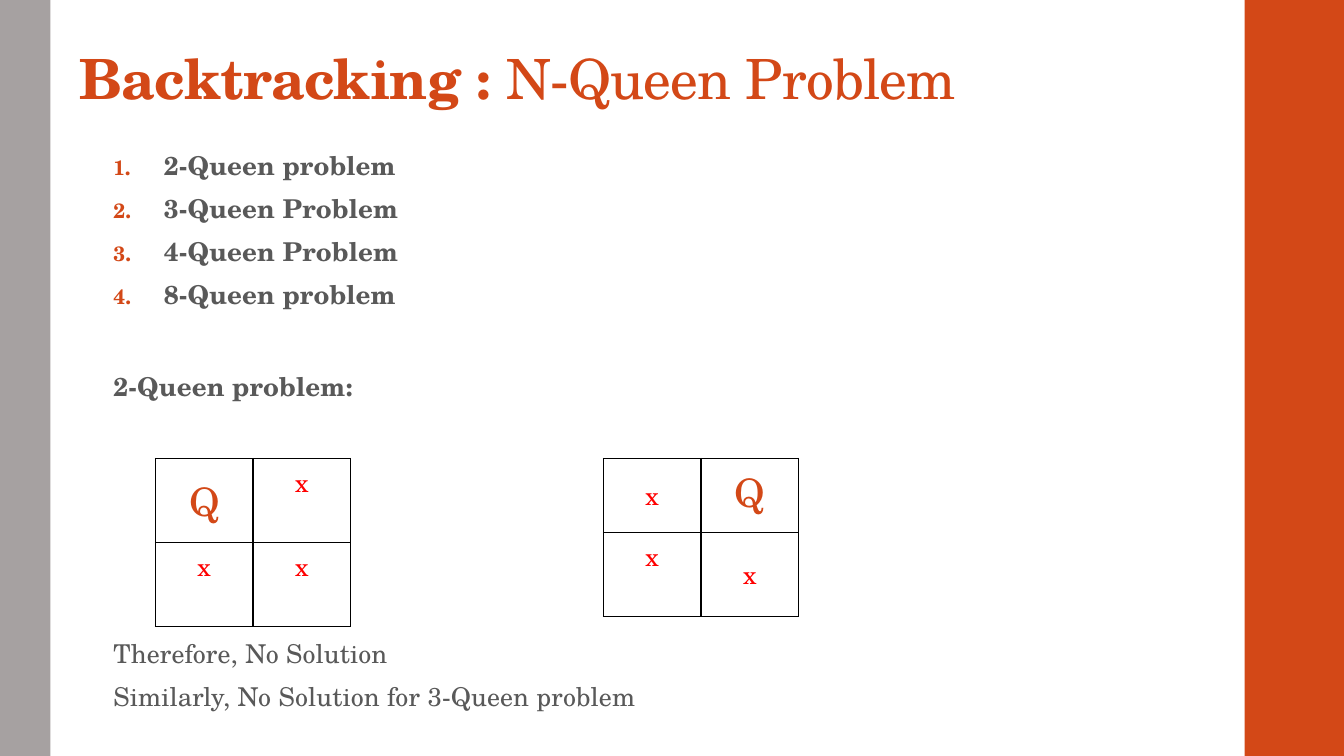
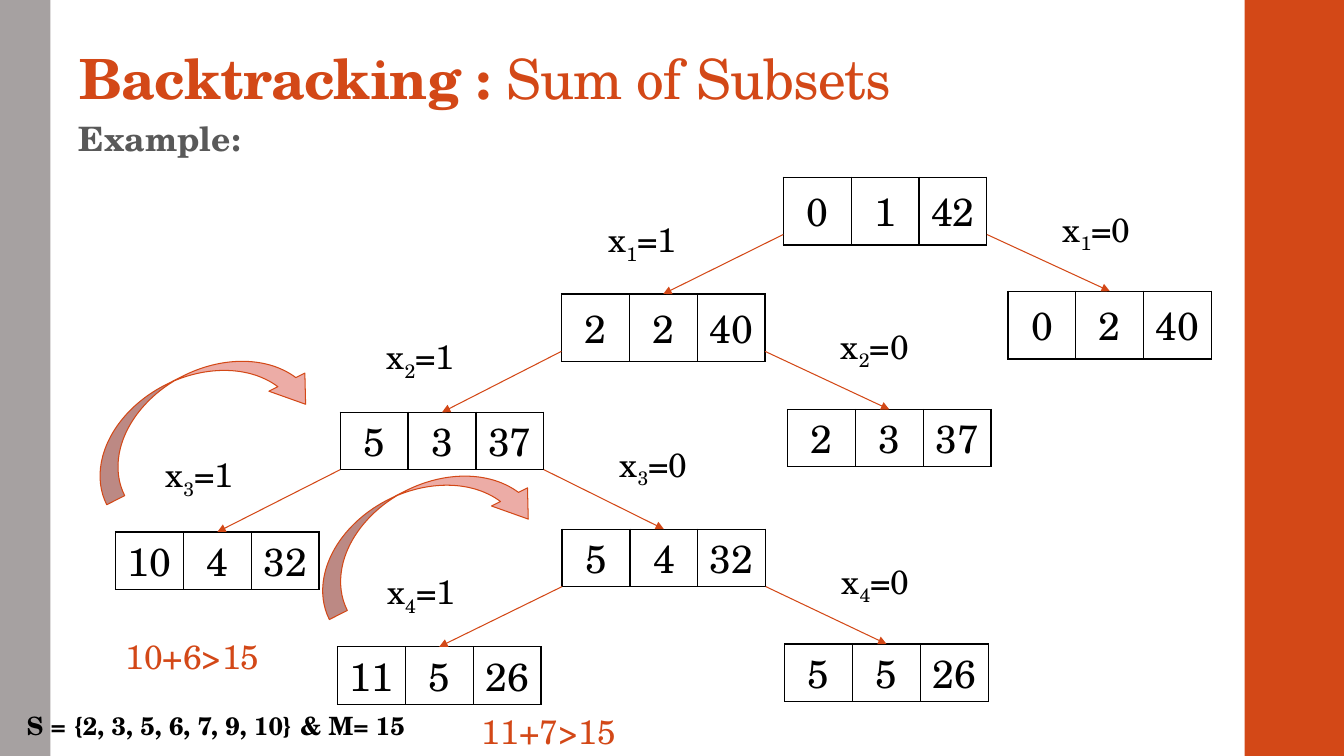
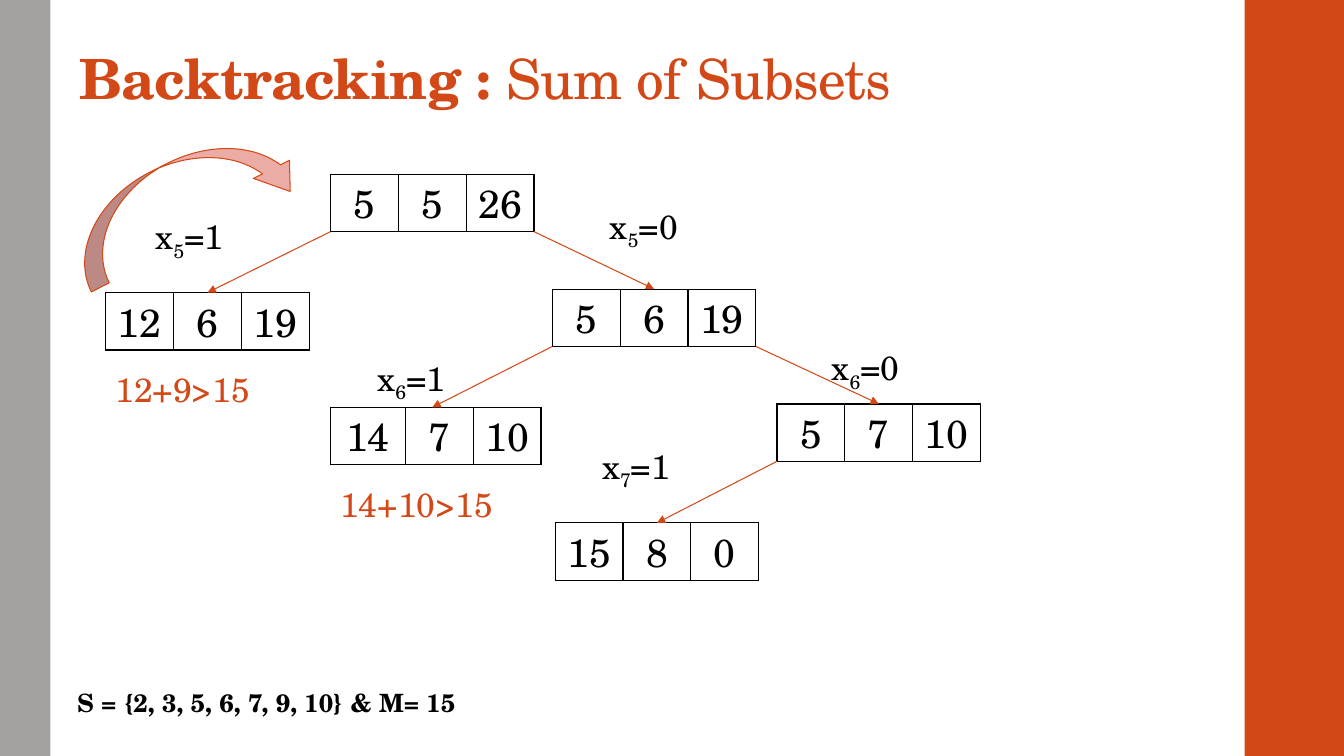
import pptx
import pptx.dml.color
import pptx.enum.shapes
import pptx.enum.text
import pptx.oxml
import pptx.oxml.ns
import pptx.util
from dataclasses import dataclass
from typing import Any, Optional

Pt = pptx.util.Pt
qn = pptx.oxml.ns.qn
ANCHOR = pptx.enum.text.MSO_ANCHOR
ALIGN = pptx.enum.text.PP_ALIGN
SHAPE = pptx.enum.shapes.MSO_SHAPE
TITLE_ONLY = 5

FONT = "TeX Gyre Schola"
ORANGE, GREY, BODY = "D34817", "A6A1A1", "595959"
BLACK, RED, PINK = "000000", "FF0000", "ECACA6"
DRAWING_NAMESPACE = 'xmlns:a="http://schemas.openxmlformats.org/drawingml/2006/main"'

SLIDE_WIDTH, SLIDE_HEIGHT = 960, 540
CELL_WIDTH, NODE_HEIGHT, NODE_WIDTH = 48.5, 41, 145.5
GIVEN = "S = {2, 3, 5, 6, 7, 9, 10} & M= 15"


@dataclass
class Run:
    text: str
    size: float
    color: str = BLACK
    bold: bool = False
    spacing: int = 0
    baseline: int = 0


@dataclass
class Line:
    """A paragraph with its spacing; numbered lines get an automatic number."""
    runs: list[Run]
    line_spacing: float = 1.0
    space_before: float = 0
    space_after: float = 0
    numbered: bool = False


@dataclass
class Cell:
    run: Run
    anchor: Any = ANCHOR.MIDDLE


@dataclass
class Node:
    """A state of the search tree: sum, index and remainder."""
    left: float
    top: float
    values: tuple[str, str, str]
    height: float = NODE_HEIGHT
    first_width: float = CELL_WIDTH


@dataclass
class Branch:
    """The children reached from a parent by taking or leaving item number."""
    number: int
    parent: str
    taken: str
    left_out: Optional[str] = None
    label_drop: float = 0


@dataclass
class Note:
    left: float
    top: float
    width: float
    run: Run


def rgb(color: str) -> pptx.dml.color.RGBColor:
    return pptx.dml.color.RGBColor.from_string(color)


def set_all(target: Any, values: dict[str, Any]) -> None:
    for name, value in values.items():
        setattr(target, name, value)


def drawing_element(tag: str, attributes: str = "", content: str = "") -> Any:
    return pptx.oxml.parse_xml(
        f"<a:{tag} {DRAWING_NAMESPACE} {attributes}>{content}</a:{tag}>")


def color_fill(color: str) -> str:
    return f'<a:solidFill><a:srgbClr val="{color}"/></a:solidFill>'


def write_runs(paragraph: Any, runs: list[Run]) -> None:
    for item in runs:
        run = paragraph.add_run()
        run.text = item.text
        set_all(run.font, {"name": FONT, "size": Pt(item.size), "bold": item.bold})
        run.font.color.rgb = rgb(item.color)
        properties = run._r.get_or_add_rPr()
        for name, value in {"spc": item.spacing, "baseline": item.baseline}.items():
            if value:
                properties.set(name, str(value))


def number_paragraph(paragraph: Any) -> None:
    properties = paragraph._p.get_or_add_pPr()
    set_indent = {"marL": Pt(36), "indent": -Pt(36)}
    for name, value in set_indent.items():
        properties.set(name, str(value))
    properties.append(drawing_element("buClr", "", f'<a:srgbClr val="{ORANGE}"/>'))
    properties.append(drawing_element("buSzPct", 'val="80000"'))
    properties.append(drawing_element("buAutoNum", 'type="arabicPeriod"'))


def write_lines(frame: Any, lines: list[Line]) -> None:
    for index, line in enumerate(lines):
        paragraph = frame.add_paragraph() if index else frame.paragraphs[0]
        if line.numbered:
            number_paragraph(paragraph)
        set_all(paragraph, {
            "line_spacing": line.line_spacing,
            "space_before": Pt(line.space_before if index else 0),
            "space_after": Pt(line.space_after),
        })
        write_runs(paragraph, line.runs)


def add_text(slide: Any, left: float, top: float, width: float, height: float,
             lines: list[Line]) -> None:
    box = slide.shapes.add_textbox(Pt(left), Pt(top), Pt(width), Pt(height))
    box.text_frame.word_wrap = True
    write_lines(box.text_frame, lines)


def add_note(slide: Any, note: Note) -> None:
    add_text(slide, note.left, note.top, note.width, note.run.size * 1.5,
             [Line([note.run])])


def add_band(slide: Any, left: float, width: float, color: str) -> None:
    band = slide.shapes.add_shape(
        SHAPE.RECTANGLE, Pt(left), Pt(0), Pt(width), Pt(SLIDE_HEIGHT))
    band.shadow.inherit = False
    band.fill.solid()
    band.fill.fore_color.rgb = rgb(color)
    band.line.fill.background()


def add_slide(presentation: Any, topic: str) -> Any:
    """Add a slide with the side bands and the two-part title."""
    slide = presentation.slides.add_slide(presentation.slide_layouts[TITLE_ONLY])
    add_band(slide, 889, 71, ORANGE)
    add_band(slide, 0, 36, GREY)
    title = slide.shapes.title
    set_all(title, {"left": Pt(49.5), "top": Pt(38), "width": Pt(763), "height": Pt(45)})
    set_all(title.text_frame, {
        "word_wrap": True, "vertical_anchor": ANCHOR.BOTTOM,
        "auto_size": pptx.enum.text.MSO_AUTO_SIZE.NONE,
        "margin_left": Pt(7.2), "margin_right": Pt(7.2),
        "margin_top": Pt(2.2), "margin_bottom": Pt(3.6),
    })
    write_lines(title.text_frame, [Line([
        Run("Backtracking : ", 39.6, ORANGE, True, -50),
        Run(topic, 39.6, ORANGE, False, -50)], 0.9)])
    title.text_frame.paragraphs[0].alignment = ALIGN.LEFT
    return slide


def add_grid(slide: Any, left: float, top: float, widths: list[float],
             heights: list[float], rows: list[list[Cell]], margin: float = 3.6) -> None:
    """Add a table with thin black borders and no fill."""
    frame = slide.shapes.add_table(
        len(heights), len(widths), Pt(left), Pt(top), Pt(sum(widths)), Pt(sum(heights)))
    table = frame.table
    set_all(table, {"first_row": False, "horz_banding": False})
    for column, width in zip(table.columns, widths):
        column.width = Pt(width)
    for row, height, contents in zip(table.rows, heights, rows):
        row.height = Pt(height)
        for cell, content in zip(row.cells, contents):
            cell.fill.background()
            set_all(cell, {"vertical_anchor": content.anchor,
                           "margin_top": Pt(margin), "margin_bottom": Pt(margin)})
            paragraph = cell.text_frame.paragraphs[0]
            paragraph.alignment = ALIGN.CENTER
            write_runs(paragraph, [content.run])
    for properties in frame.element.iter(qn("a:tcPr")):
        for index, side in enumerate(("lnL", "lnR", "lnT", "lnB")):
            properties.insert(
                index, drawing_element(side, f'w="{Pt(1)}"', color_fill(BLACK)))


def add_node(slide: Any, node: Node) -> None:
    widths = [node.first_width, CELL_WIDTH, CELL_WIDTH]
    margin = 3.6 if node.height > NODE_HEIGHT else 0
    add_grid(slide, node.left, node.top, widths, [node.height],
             [[Cell(Run(value, 28)) for value in node.values]], margin)


def add_arrow(slide: Any, start: tuple[float, float], end: tuple[float, float]) -> None:
    arrow = slide.shapes.add_connector(
        pptx.enum.shapes.MSO_CONNECTOR.STRAIGHT, *(Pt(value) for value in start + end))
    arrow.line.width = Pt(0.75)
    arrow.line.color.rgb = rgb(ORANGE)
    arrow.line._get_or_add_ln().append(drawing_element("tailEnd", 'type="triangle"'))
    arrow.element.spPr.append(drawing_element("effectLst"))


def add_return_arrow(slide: Any, left: float, top: float) -> None:
    """Add the curved arrow that marks a step back to the parent."""
    arrow = slide.shapes.add_shape(
        SHAPE.CURVED_DOWN_ARROW, Pt(left), Pt(top), Pt(173.5), Pt(57.5))
    arrow.rotation = 333.2
    for index, value in enumerate((0.25, 0.5, 0.35)):
        arrow.adjustments[index] = value
    arrow.shadow.inherit = False
    arrow.fill.solid()
    arrow.fill.fore_color.rgb = rgb(PINK)
    arrow.line.color.rgb = rgb(ORANGE)
    arrow.line.width = Pt(0.75)


def add_label(slide: Any, left: float, top: float, number: int, value: int) -> None:
    add_text(slide, left, top, 86, 36, [Line([
        Run("x", 24), Run(str(number), 24, baseline=-25000), Run(f"={value}", 24)])])


def add_tree(slide: Any, nodes: dict[str, Node], branches: list[Branch]) -> None:
    for node in nodes.values():
        add_node(slide, node)
    for branch in branches:
        parent = nodes[branch.parent]
        sides = ((branch.taken, 1, 0, -132, 26.5),
                 (branch.left_out, 0, NODE_WIDTH, 192.5, 19))
        for name, value, corner, label_left, label_top in sides:
            if name is None:
                continue
            child = nodes[name]
            add_arrow(slide, (parent.left + corner, parent.top + NODE_HEIGHT),
                      (child.left + NODE_WIDTH / 2, child.top))
            add_label(slide, parent.left + label_left,
                      parent.top + label_top + branch.label_drop, branch.number, value)


def build_queens(presentation: Any) -> None:
    slide = add_slide(presentation, "N-Queen Problem")

    def body_line(text: str, bold: bool, before: float = 10, numbered: bool = False) -> Line:
        return Line([Run(text, 18.5, BODY, bold, 10)], 0.85, before, 1.8, numbered)

    problems = ("2-Queen problem", "3-Queen Problem", "4-Queen Problem", "8-Queen problem")
    lines = [body_line(problem, True, numbered=True) for problem in problems]
    add_text(slide, 74, 106.5, 731, 210, lines + [body_line("2-Queen problem:", True, 45)])

    queen, attacked = Run("Q", 28, ORANGE), Run("x", 18, RED)
    high = Cell(attacked, ANCHOR.TOP)
    boards = (
        (111, [60, 60], [[Cell(queen), high], [high, high]]),
        (431, [53, 60], [[Cell(attacked), Cell(queen, ANCHOR.TOP)],
                         [high, Cell(attacked)]]),
    )
    for left, heights, rows in boards:
        add_grid(slide, left, 327.5, [69.75, 69.75], heights, rows)

    add_text(slide, 74, 455, 731, 70, [
        body_line("Therefore, No Solution", False),
        body_line("Similarly, No Solution for 3-Queen problem", False)])


def build_first_subsets(presentation: Any) -> None:
    slide = add_slide(presentation, "Sum of Subsets")
    add_text(slide, 49, 83, 300, 40, [Line([Run("Example:", 24, BODY, True, 10)], 0.95)])
    nodes = {
        "root": Node(559.5, 126.5, ("0", "1", "42"), 48.5),
        "1": Node(401, 210, ("2", "2", "40"), 48.5),
        "0": Node(720, 208, ("0", "2", "40"), 48.5),
        "11": Node(243, 294.5, ("5", "3", "37")),
        "10": Node(562.5, 292.5, ("2", "3", "37")),
        "111": Node(82.5, 380, ("10", "4", "32")),
        "110": Node(401.5, 378, ("5", "4", "32")),
        "1101": Node(241, 462, ("11", "5", "26")),
        "1100": Node(560.5, 460, ("5", "5", "26")),
    }
    add_tree(slide, nodes, [
        Branch(1, "root", "1", "0"), Branch(2, "1", "11", "10"),
        Branch(3, "11", "111", "110"), Branch(4, "110", "1101", "1100")])
    add_return_arrow(slide, 54, 267)
    add_return_arrow(slide, 213, 349)
    for note in (Note(12, 504, 338, Run(GIVEN, 18, bold=True)),
                 Note(82.5, 450.5, 127, Run("10+6>15", 24, ORANGE)),
                 Note(337, 504, 127, Run("11+7>15", 24, ORANGE))):
        add_note(slide, note)


def build_second_subsets(presentation: Any) -> None:
    slide = add_slide(presentation, "Sum of Subsets")
    nodes = {
        "root": Node(236, 124.5, ("5", "5", "26")),
        "1": Node(75.5, 209, ("12", "6", "19")),
        "0": Node(394.5, 206.5, ("5", "6", "19")),
        "01": Node(236, 291, ("14", "7", "10"), first_width=53.5),
        "00": Node(555, 288.5, ("5", "7", "10")),
        "001": Node(396.5, 373.5, ("15", "8", "0")),
    }
    add_tree(slide, nodes, [
        Branch(5, "root", "1", "0"), Branch(6, "0", "01", "00", 19),
        Branch(7, "00", "001")])
    add_return_arrow(slide, 43, 115)
    for note in (Note(48, 487.5, 338, Run(GIVEN, 18, bold=True)),
                 Note(75.5, 260, 127, Run("12+9>15", 24, ORANGE)),
                 Note(236, 342, 127, Run("14+10>15", 24, ORANGE))):
        add_note(slide, note)


def main() -> None:
    presentation = pptx.Presentation()
    set_all(presentation, {"slide_width": Pt(SLIDE_WIDTH), "slide_height": Pt(SLIDE_HEIGHT)})
    build_queens(presentation)
    build_first_subsets(presentation)
    build_second_subsets(presentation)
    presentation.save("out.pptx")


if __name__ == "__main__":
    main()
